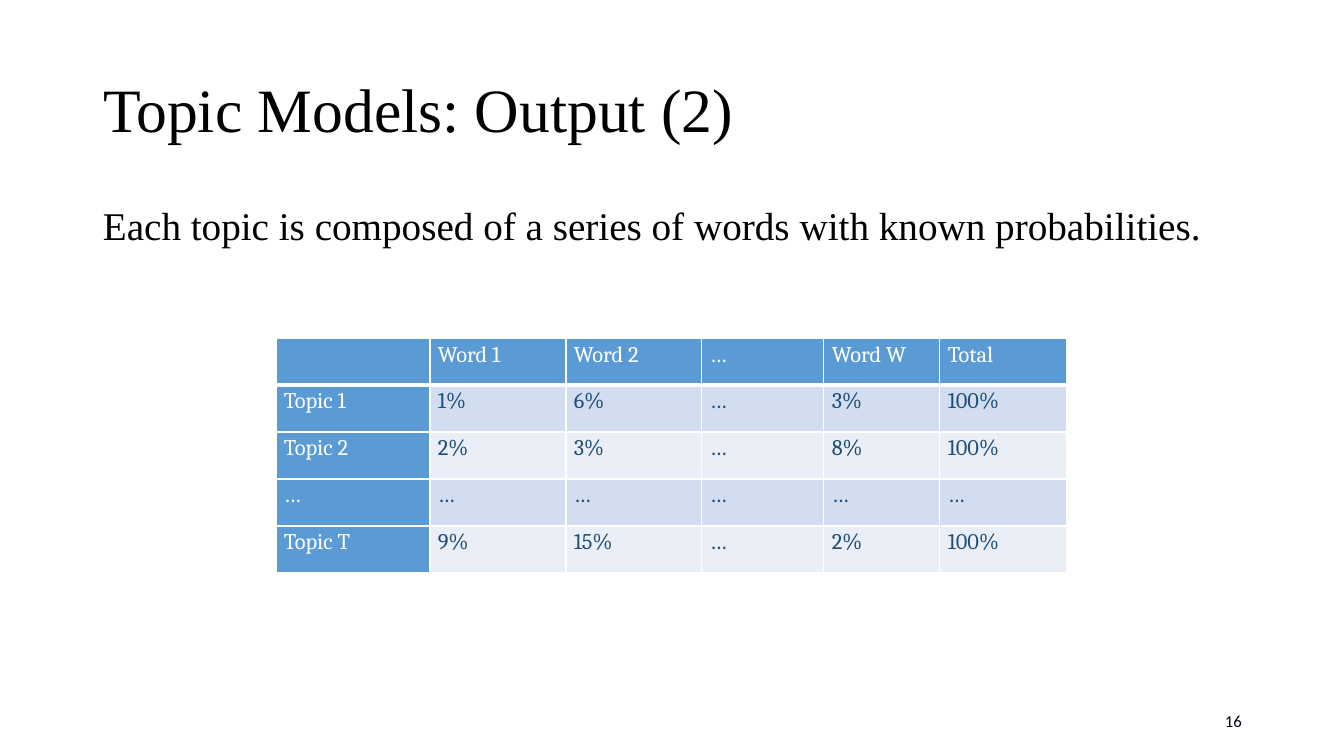
from dataclasses import dataclass

from lxml.etree import SubElement
from pptx import Presentation
from pptx.dml.color import RGBColor
from pptx.enum.text import MSO_ANCHOR as Anchor, MSO_AUTO_SIZE as Fit, PP_ALIGN as Align
from pptx.oxml.ns import qn
from pptx.util import Emu, Pt

WHITE = "FFFFFF"
BLUE = "5B9BD5"
NAVY = "1F4E79"
BANDS = ("D2DEEF", "EAEFF7")
COLS = (154, 136, 136, 122, 116, 127)
ROW = 47
ROWS = (
    ("", "Word 1", "Word 2", "…", "Word W", "Total"),
    ("Topic 1", "1%", "6%", "…", "3%", "100%"),
    ("Topic 2", "2%", "3%", "…", "8%", "100%"),
    ("…", "…", "…", "…", "…", "…"),
    ("Topic T", "9%", "15%", "…", "2%", "100%"),
)


@dataclass
class Box:
    left: int
    top: int
    width: int
    height: int


@dataclass
class Style:
    font: str
    size: int
    color: str
    space: float = 1.0
    align: Align = Align.LEFT


def px(n: int) -> Emu:
    return Emu(round(n * 914400 / 100.8))


def paint(color: str) -> RGBColor:
    return RGBColor.from_string(color)


def write(frame, text: str, style: Style):
    para = frame.paragraphs[0]
    para.text = text
    para.alignment = style.align
    para.line_spacing = style.space
    para.font.name = style.font
    para.font.size = Pt(style.size)
    para.font.color.rgb = paint(style.color)
    return para


def fill_box(shape, box: Box, text: str, style: Style, anchor: Anchor):
    shape.left, shape.top = px(box.left), px(box.top)
    shape.width, shape.height = px(box.width), px(box.height)
    frame = shape.text_frame
    frame.word_wrap = True
    frame.auto_size = Fit.NONE
    frame.vertical_anchor = anchor
    return write(frame, text, style)


def add_text(slide, box: Box, text: str, style: Style, anchor: Anchor):
    return fill_box(slide.shapes.add_textbox(0, 0, 0, 0), box, text, style, anchor)


def edge(cell, side: str, width: int) -> None:
    props = cell._tc.get_or_add_tcPr()
    line = SubElement(props, qn(f"a:ln{side}"), w=str(Pt(width)))
    SubElement(SubElement(line, qn("a:solidFill")), qn("a:srgbClr"), val=WHITE)


def add_grid(slide, left: int, top: int) -> None:
    grid = slide.shapes.add_table(
        len(ROWS), len(COLS), px(left), px(top), px(sum(COLS)), px(ROW * len(ROWS))
    ).table
    for col, width in zip(grid.columns, COLS):
        col.width = px(width)
    for i, row in enumerate(ROWS):
        grid.rows[i].height = px(ROW)
        for j, text in enumerate(row):
            cell = grid.cell(i, j)
            head = i == 0 or j == 0
            thick = {(0, "B"), (1, "T")}
            for side in "LRTB":
                edge(cell, side, 3 if (i, side) in thick else 1)
            cell.fill.solid()
            cell.fill.fore_color.rgb = paint(BLUE if head else BANDS[(i - 1) % 2])
            cell.margin_left = cell.margin_right = px(8)
            cell.margin_top = cell.margin_bottom = 0
            para = write(cell.text_frame, text, Style("Cambria", 16, WHITE if head else NAVY, 1.15))
            para.font.bold = False


def main() -> None:
    deck = Presentation()
    deck.slide_width, deck.slide_height = px(1344), px(756)
    slide = deck.slides.add_slide(deck.slide_layouts[5])
    fill_box(slide.shapes.title, Box(93, 40, 1159, 146), "Topic Models: Output (2)",
             Style("Times New Roman", 44, "000000", 0.9), Anchor.MIDDLE)
    body = add_text(slide, Box(93, 202, 1159, 480),
                    "Each topic is composed of a series of words with known probabilities.",
                    Style("Times New Roman", 28, "000000", 0.9), Anchor.TOP)
    body.space_before = Pt(10)
    add_text(slide, Box(950, 701, 302, 40), "16",
             Style("Calibri", 12, "000510", align=Align.RIGHT), Anchor.MIDDLE)
    add_grid(slide, 276, 338)
    deck.save("out.pptx")


if __name__ == "__main__":
    main()
